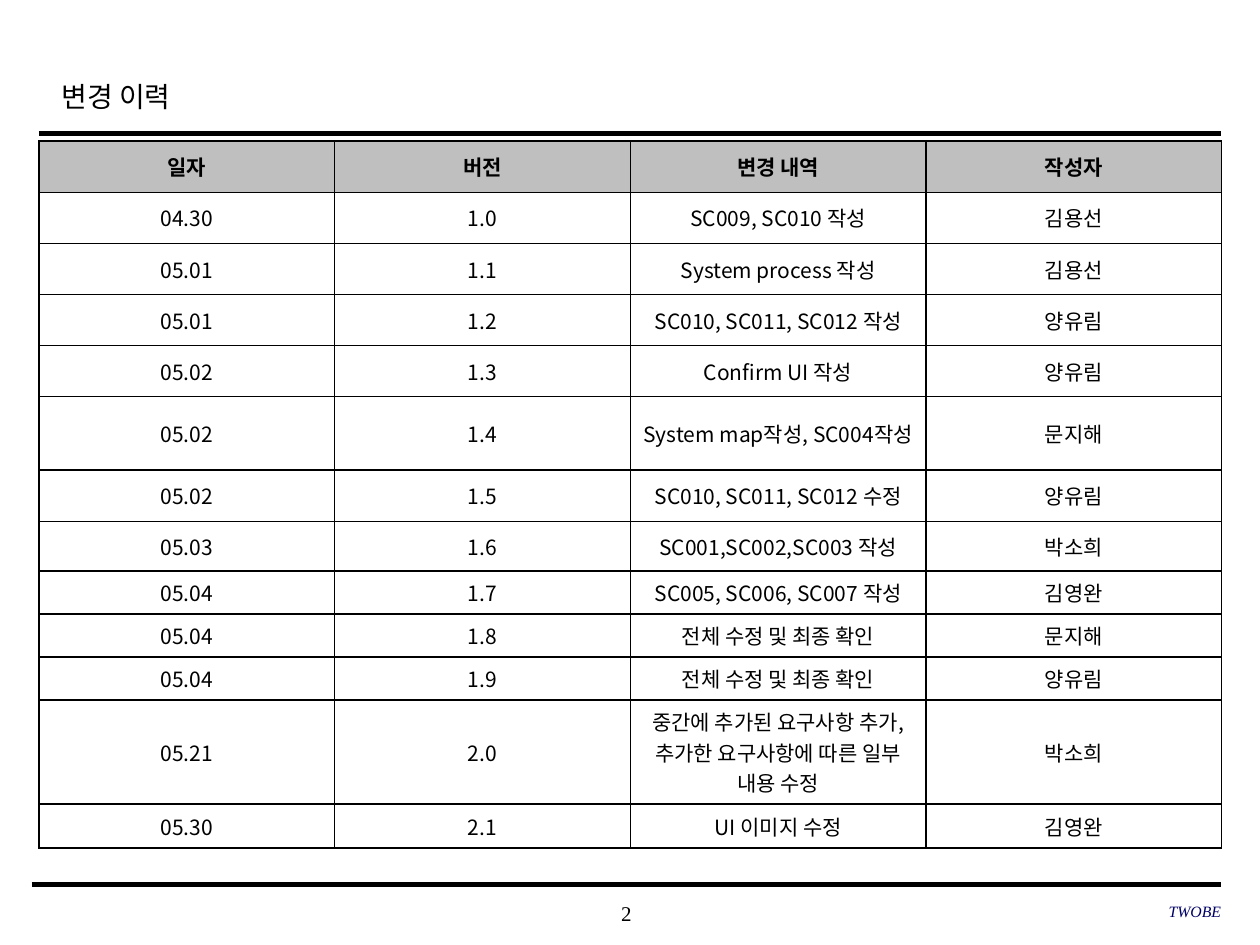
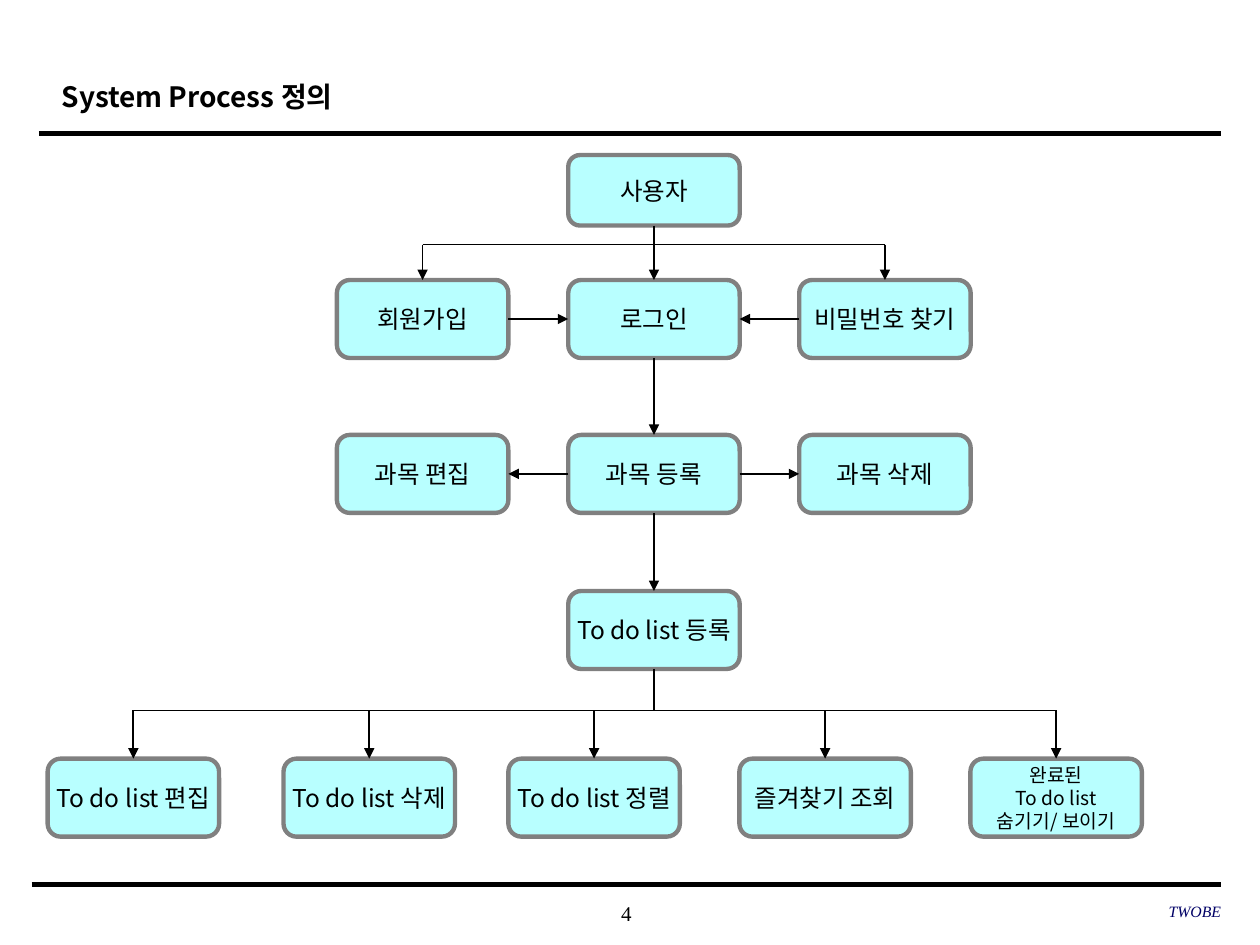
from dataclasses import dataclass

from lxml.etree import SubElement
from pptx import Presentation
from pptx.dml.color import RGBColor
from pptx.enum.shapes import MSO_CONNECTOR as Connector, MSO_SHAPE as Shape
from pptx.enum.text import MSO_ANCHOR as Anchor, MSO_AUTO_SIZE as AutoSize, PP_ALIGN as Align
from pptx.oxml import parse_xml
from pptx.oxml.ns import nsdecls, qn
from pptx.util import Pt

# Content
HISTORY_TITLE = "변경 이력"
HISTORY_HEADER = ("일자", "버전", "변경 내역", "작성자")
HISTORY = [  # date, version, change, author, row height
    ("04.30", "1.0", "SC009, SC010 작성", "김용선", 29.2),
    ("05.01", "1.1", "System process 작성", "김용선", 29.2),
    ("05.01", "1.2", "SC010, SC011, SC012 작성", "양유림", 29.2),
    ("05.02", "1.3", "Confirm UI 작성", "양유림", 29.2),
    ("05.02", "1.4", "System map작성, SC004작성", "문지해", 42),
    ("05.02", "1.5", "SC010, SC011, SC012 수정", "양유림", 29.2),
    ("05.03", "1.6", "SC001,SC002,SC003 작성", "박소희", 28.4),
    ("05.04", "1.7", "SC005, SC006, SC007 작성", "김영완", 24.6),
    ("05.04", "1.8", "전체 수정 및 최종 확인", "문지해", 24.6),
    ("05.04", "1.9", "전체 수정 및 최종 확인", "양유림", 24.6),
    ("05.21", "2.0", "중간에 추가된 요구사항 추가, 추가한 요구사항에 따른 일부 내용 수정", "박소희", 59.4),
    ("05.30", "2.1", "UI 이미지 수정", "김영완", 25.2),
]

PROCESS_TITLE = "System Process 정의"
LEFT, MIDDLE, RIGHT = 241.5, 373.7, 505.7
STEPS = [  # text, centre x, top, height
    ("사용자", MIDDLE, 88.6, 40.3),
    ("회원가입", LEFT, 160, 44.6),
    ("로그인", MIDDLE, 160, 44.6),
    ("비밀번호 찾기", RIGHT, 160, 44.6),
    ("과목 편집", LEFT, 248.5, 44.6),
    ("과목 등록", MIDDLE, 248.5, 44.6),
    ("과목 삭제", RIGHT, 248.5, 44.6),
    ("To do list 등록", MIDDLE, 337.7, 44.6),
]
TODO_ACTIONS = [  # text, centre x
    ("To do list 편집", 76.2),
    ("To do list 삭제", 211),
    ("To do list 정렬", 339.5),
    ("즐겨찾기 조회", 471.5),
    ("완료된\nTo do list\n숨기기/ 보이기", 603.5),
]
TODO_TOP, STEP_WIDTH, STEP_HEIGHT = 433.5, 98, 44.6
USER_BRANCH_Y, TODO_BRANCH_Y = 139.8, 406
TOP, WEST, BOTTOM, EAST = range(4)  # connection sites of a box
FLOWS = [  # from, site, to, site
    ("사용자", BOTTOM, "로그인", TOP),
    ("회원가입", EAST, "로그인", WEST),
    ("비밀번호 찾기", WEST, "로그인", EAST),
    ("로그인", BOTTOM, "과목 등록", TOP),
    ("과목 등록", WEST, "과목 편집", EAST),
    ("과목 등록", EAST, "과목 삭제", WEST),
    ("과목 등록", BOTTOM, "To do list 등록", TOP),
]


@dataclass(frozen=True)
class Theme:
    ink: str = "000000"
    paper: str = "FFFFFF"
    header: str = "BFBFBF"
    step: str = "B8FFFF"
    step_edge: str = "808080"
    footer: str = "000066"
    sans: str = "Noto Sans CJK KR"
    serif: str = "Times New Roman"
    title_size: float = 16
    step_size: float = 14
    body_size: float = 12
    small_size: float = 11
    footer_size: float = 9


THEME = Theme()


def color(value):
    return RGBColor.from_string(value)


# Shared drawing helpers
def write_text(frame, text, size, font=THEME.sans, ink=THEME.ink, bold=False,
               italic=False, align=Align.CENTER, spacing=None):
    for index, line in enumerate(text.split("\n")):
        para = frame.add_paragraph() if index else frame.paragraphs[0]
        para.alignment = align
        if spacing:
            para.line_spacing = spacing
        span = para.add_run()
        span.text = line
        span.font.size, span.font.name = Pt(size), font
        span.font.bold, span.font.italic = bold, italic
        span.font.color.rgb = color(ink)
        SubElement(span._r.get_or_add_rPr(), qn("a:ea"), typeface=THEME.sans)


def draw_line(page, start, end, width=1, arrow=False):
    points = [Pt(value) for value in (*start, *end)]
    line = page.shapes.add_connector(Connector.STRAIGHT, *points)
    line.line.width = Pt(width)
    line.line.color.rgb = color(THEME.ink)
    properties = line.element.spPr
    if arrow:
        SubElement(properties.find(qn("a:ln")), qn("a:tailEnd"), type="triangle")
    SubElement(properties, qn("a:effectLst"))
    return line


def add_label(page, text, left, top, width, height, **style):
    box = page.shapes.add_textbox(Pt(left), Pt(top), Pt(width), Pt(height))
    frame = box.text_frame
    frame.word_wrap, frame.vertical_anchor = True, Anchor.MIDDLE
    frame.margin_left = frame.margin_right = frame.margin_top = frame.margin_bottom = 0
    write_text(frame, text, font=THEME.serif, **style)


def add_page(deck, title, number, **title_style):
    page = deck.slides.add_slide(deck.slide_layouts[5])
    box = page.shapes.title
    box.left, box.top, box.width, box.height = Pt(28), Pt(35.3), Pt(543.6), Pt(36)
    frame = box.text_frame
    frame.auto_size, frame.vertical_anchor = AutoSize.NONE, Anchor.MIDDLE
    write_text(frame, title, THEME.title_size, align=Align.LEFT, spacing=1.2, **title_style)
    draw_line(page, (22.2, 76.3), (697.8, 76.3), width=2.5)
    draw_line(page, (18, 505.3), (697.8, 505.3), width=3)
    add_label(page, str(number), 283, 509.8, 149.8, 23.8, size=THEME.body_size)
    add_label(page, "TWOBE", 477.4, 509, 220.3, 23.8, size=THEME.footer_size,
              ink=THEME.footer, italic=True, align=Align.RIGHT)
    return page


# Change history table
def fill_cell(cell, text, fill, bold):
    cell.vertical_anchor = Anchor.MIDDLE
    cell.fill.solid()
    cell.fill.fore_color.rgb = color(fill)
    write_text(cell.text_frame, text, THEME.body_size, bold=bold)
    properties = cell._tc.get_or_add_tcPr()
    for index, side in enumerate("LRTB"):
        properties.insert(index, parse_xml(
            f'<a:ln{side} {nsdecls("a")} w="{Pt(1)}"><a:solidFill>'
            f'<a:srgbClr val="{THEME.ink}"/></a:solidFill></a:ln{side}>'))


def build_history(deck):
    page = add_page(deck, HISTORY_TITLE, 2, font=THEME.serif)
    rows = [(*HISTORY_HEADER, 29.2), *HISTORY]
    height = sum(row[-1] for row in rows)
    table = page.shapes.add_table(len(rows), len(HISTORY_HEADER), Pt(22.2), Pt(80.7),
                                  Pt(676), Pt(height)).table
    table.first_row = table.horz_banding = False
    for row_index, (*texts, row_height) in enumerate(rows):
        table.rows[row_index].height = Pt(row_height)
        is_header = row_index == 0
        for column, text in enumerate(texts):
            fill_cell(table.cell(row_index, column), text,
                      THEME.header if is_header else THEME.paper, is_header)


# System process diagram
def add_step(page, text, center, top, height):
    box = page.shapes.add_shape(Shape.ROUNDED_RECTANGLE, Pt(center - STEP_WIDTH / 2), Pt(top),
                                Pt(STEP_WIDTH), Pt(height))
    box.shadow.inherit = False
    box.fill.solid()
    box.fill.fore_color.rgb = color(THEME.step)
    box.line.color.rgb = color(THEME.step_edge)
    box.line.width = Pt(2.5)
    box.text_frame.word_wrap = False
    box.text_frame.vertical_anchor = Anchor.MIDDLE
    write_text(box.text_frame, text, THEME.small_size if "\n" in text else THEME.step_size)
    return box


def build_process(deck):
    page = add_page(deck, PROCESS_TITLE, 4, bold=True)
    todo_steps = [(text, center, TODO_TOP, STEP_HEIGHT) for text, center in TODO_ACTIONS]
    steps = STEPS + todo_steps
    boxes = {step[0]: add_step(page, *step) for step in steps}

    # Arrows between boxes
    for source, source_site, target, target_site in FLOWS:
        arrow = draw_line(page, (0, 0), (0, 0), arrow=True)
        arrow.begin_connect(boxes[source], source_site)
        arrow.end_connect(boxes[target], target_site)

    # Branches: a horizontal line with an arrow down to each box
    sign_in_steps = [step for step in STEPS if step[0] in ("회원가입", "비밀번호 찾기")]
    for branch_y, targets in ((USER_BRANCH_Y, sign_in_steps), (TODO_BRANCH_Y, todo_steps)):
        draw_line(page, (targets[0][1], branch_y), (targets[-1][1], branch_y))
        for text, center, top, _ in targets:
            arrow = draw_line(page, (center, branch_y), (center, top), arrow=True)
            arrow.end_connect(boxes[text], TOP)
    stem = draw_line(page, (MIDDLE, 382.3), (MIDDLE, TODO_BRANCH_Y))
    stem.begin_connect(boxes["To do list 등록"], BOTTOM)


def main():
    deck = Presentation()
    deck.slide_width, deck.slide_height = Pt(720), Pt(540)
    build_history(deck)
    build_process(deck)
    deck.save("out.pptx")


if __name__ == "__main__":
    main()
